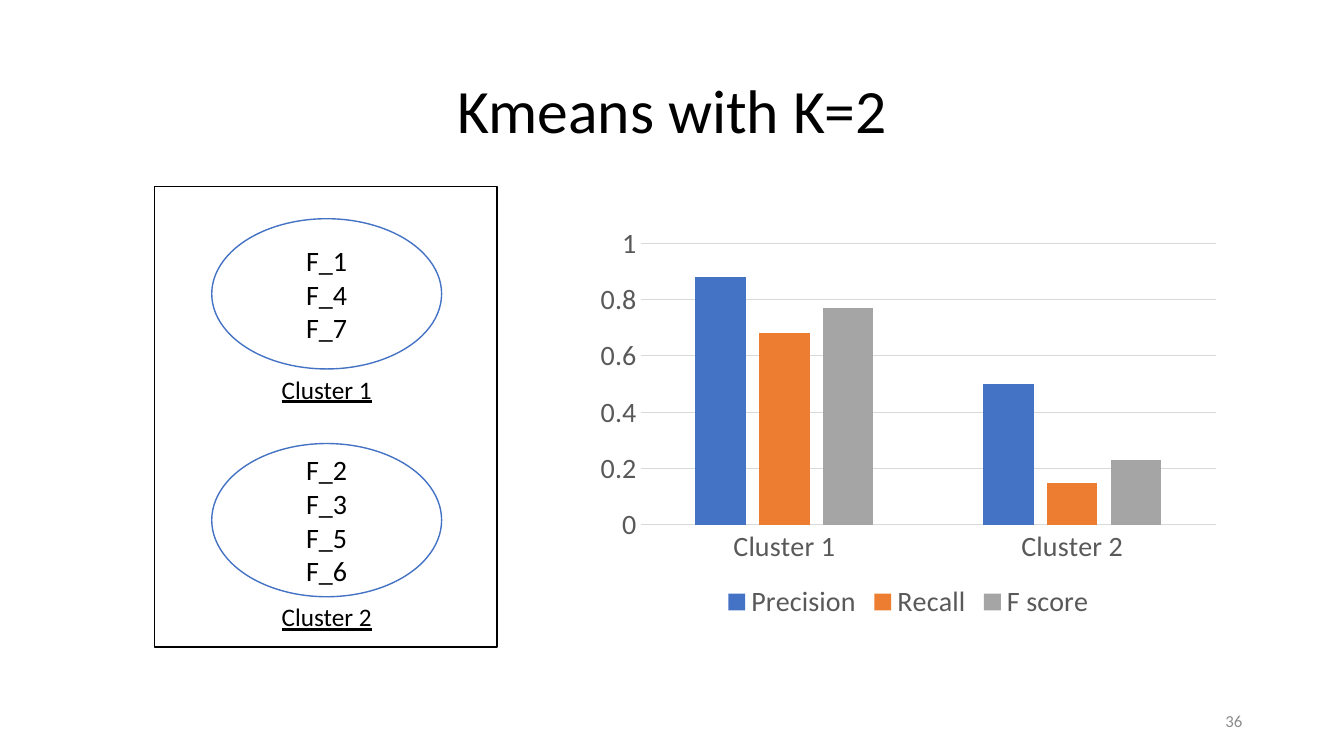
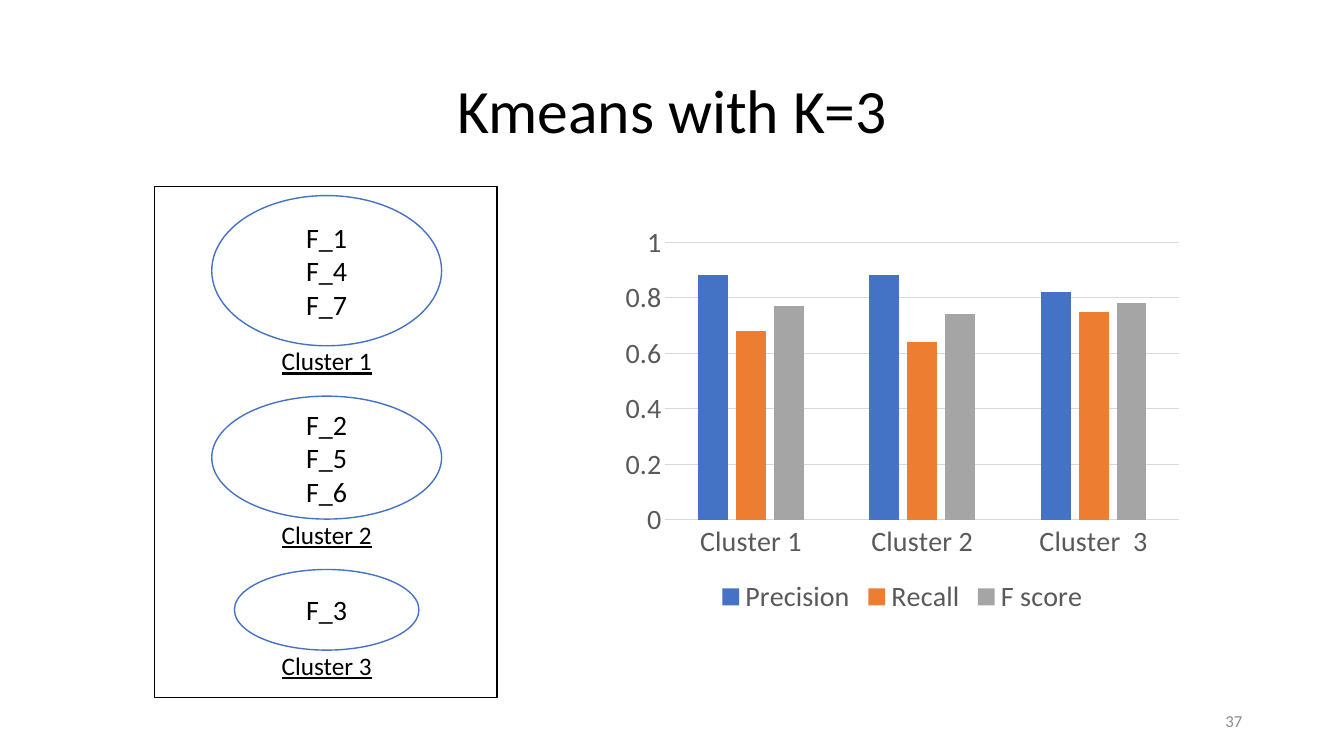
"""Build two slides on k-means clusters and their scores."""
from dataclasses import dataclass

from pptx import Presentation
from pptx.chart.data import CategoryChartData as Data
from pptx.dml.color import RGBColor as RGB
from pptx.enum.chart import XL_CHART_TYPE as Kind, XL_LEGEND_POSITION as Spot, XL_TICK_MARK as Tick
from pptx.enum.shapes import MSO_SHAPE as Shape
from pptx.enum.text import MSO_ANCHOR as Anchor, PP_ALIGN as Align
from pptx.util import Inches, Pt


@dataclass(frozen=True)
class Theme:
    """Colours, font and type sizes of the deck."""
    font: str = "Calibri"
    ink: RGB = RGB(0, 0, 0)
    blue: RGB = RGB(0x44, 0x72, 0xC4)
    label: RGB = RGB(0x59, 0x59, 0x59)
    grid: RGB = RGB(0xD9, 0xD9, 0xD9)
    number: RGB = RGB(0x8C, 0x8C, 0x8C)
    bars: tuple = (blue, RGB(0xED, 0x7D, 0x31), RGB(0xA5, 0xA5, 0xA5))
    title: int = 44
    body: int = 20
    caption: int = 18
    small: int = 12


theme = Theme()


def style(font, size, color):
    """Set the typeface, size and colour of a font."""
    font.name, font.size = theme.font, Pt(size)
    font.color.rgb = color


def write(shape, lines, size, color=theme.ink, align=Align.CENTER, anchor=Anchor.MIDDLE):
    """Fill a shape with one paragraph per line."""
    frame = shape.text_frame
    frame.text = "\n".join(lines)
    frame.word_wrap, frame.vertical_anchor = True, anchor
    for para in frame.paragraphs:
        para.alignment = align
        style(para.font, size, color)


def outline(slide, kind, box, color):
    """Draw an unfilled shape with a thin line."""
    shape = slide.shapes.add_shape(kind, *map(Inches, box))
    shape.shadow.inherit = False
    shape.fill.background()
    shape.line.color.rgb, shape.line.width = color, Pt(1)
    return shape


def cluster(slide, mid, top, size, lap, name, items):
    """Draw an ellipse of items, centred on mid, with its name below."""
    wide, high = size
    oval = outline(slide, Shape.OVAL, (mid - wide / 2, top, wide, high), theme.blue)
    write(oval, items, theme.body)
    box = mid - 0.55, top + high - lap, 1.1, 0.4
    note = slide.shapes.add_textbox(*map(Inches, box))
    write(note, [name], theme.caption, anchor=Anchor.TOP)
    note.text_frame.word_wrap = False
    note.text_frame.paragraphs[0].font.underline = True


def panel(slide, box, lap, groups):
    """Draw the framed column of clusters."""
    left, top = box[:2]
    for index, (drop, size, items) in enumerate(groups, 1):
        cluster(slide, left + 1.71, top + drop, size, lap, f"Cluster {index}", items)
    outline(slide, Shape.RECTANGLE, box, theme.ink)


def scores(slide, box, names, table):
    """Add the column chart of scores per cluster."""
    data = Data()
    data.categories = names
    for name, values in table.items():
        data.add_series(name, values)
    chart = slide.shapes.add_chart(Kind.COLUMN_CLUSTERED, *map(Inches, box), data).chart
    style(chart.font, theme.body, theme.label)
    chart.has_title = False
    chart.has_legend = True
    chart.legend.position = Spot.BOTTOM
    chart.legend.include_in_layout = False
    plot = chart.plots[0]
    plot.gap_width, plot.overlap, plot.vary_by_categories = 219, -27, False
    for series, color in zip(plot.series, theme.bars):
        series.format.fill.solid()
        series.format.fill.fore_color.rgb = color
    cat, val = chart.category_axis, chart.value_axis
    cat.major_tick_mark = val.major_tick_mark = Tick.NONE
    val.minimum_scale, val.maximum_scale, val.major_unit = 0, 1, 0.2
    val.format.line.fill.background()
    for line in (cat.format.line, val.major_gridlines.format.line):
        line.color.rgb, line.width = theme.grid, Pt(0.75)


def page(deck, title, number):
    """Add a slide with its title and number."""
    slide = deck.slides.add_slide(deck.slide_layouts[5])
    head = slide.shapes.title
    head.left, head.top, head.width, head.height = map(Inches, (0.92, 0.4, 11.5, 1.45))
    write(head, [title], theme.title)
    head.text_frame.paragraphs[0].line_spacing = 0.9
    foot = slide.shapes.add_textbox(*map(Inches, (9.42, 6.95, 3, 0.4)))
    write(foot, [str(number)], theme.small, theme.number, Align.RIGHT)
    return slide


def main():
    """Build and save the deck."""
    deck = Presentation()
    deck.slide_width, deck.slide_height = Inches(13.33), Inches(7.5)
    first = "F_1", "F_4", "F_7"
    large = 2.28, 1.49

    two = page(deck, "Kmeans with K=2", 36)
    panel(two, (1.53, 1.85, 3.4, 4.57), 0, [
        (0.32, large, first),
        (2.55, (2.28, 1.52), ("F_2", "F_3", "F_5", "F_6")),
    ])
    scores(two, (5.83, 2.16, 6.36, 4.04), ["Cluster 1", "Cluster 2"], {
        "Precision": (0.88, 0.5),
        "Recall": (0.68, 0.15),
        "F score": (0.77, 0.23),
    })

    three = page(deck, "Kmeans with K=3", 37)
    panel(three, (1.53, 1.85, 3.4, 5.07), 0.05, [
        (0.09, large, first),
        (2.08, (2.28, 1.22), ("F_2", "F_5", "F_6")),
        (3.8, (1.83, 0.8), ("F_3",)),
    ])
    scores(three, (6.09, 2.15, 5.72, 4), ["Cluster 1", "Cluster 2", "Cluster  3"], {
        "Precision": (0.88, 0.88, 0.82),
        "Recall": (0.68, 0.64, 0.75),
        "F score": (0.77, 0.74, 0.78),
    })
    deck.save("out.pptx")


main()
